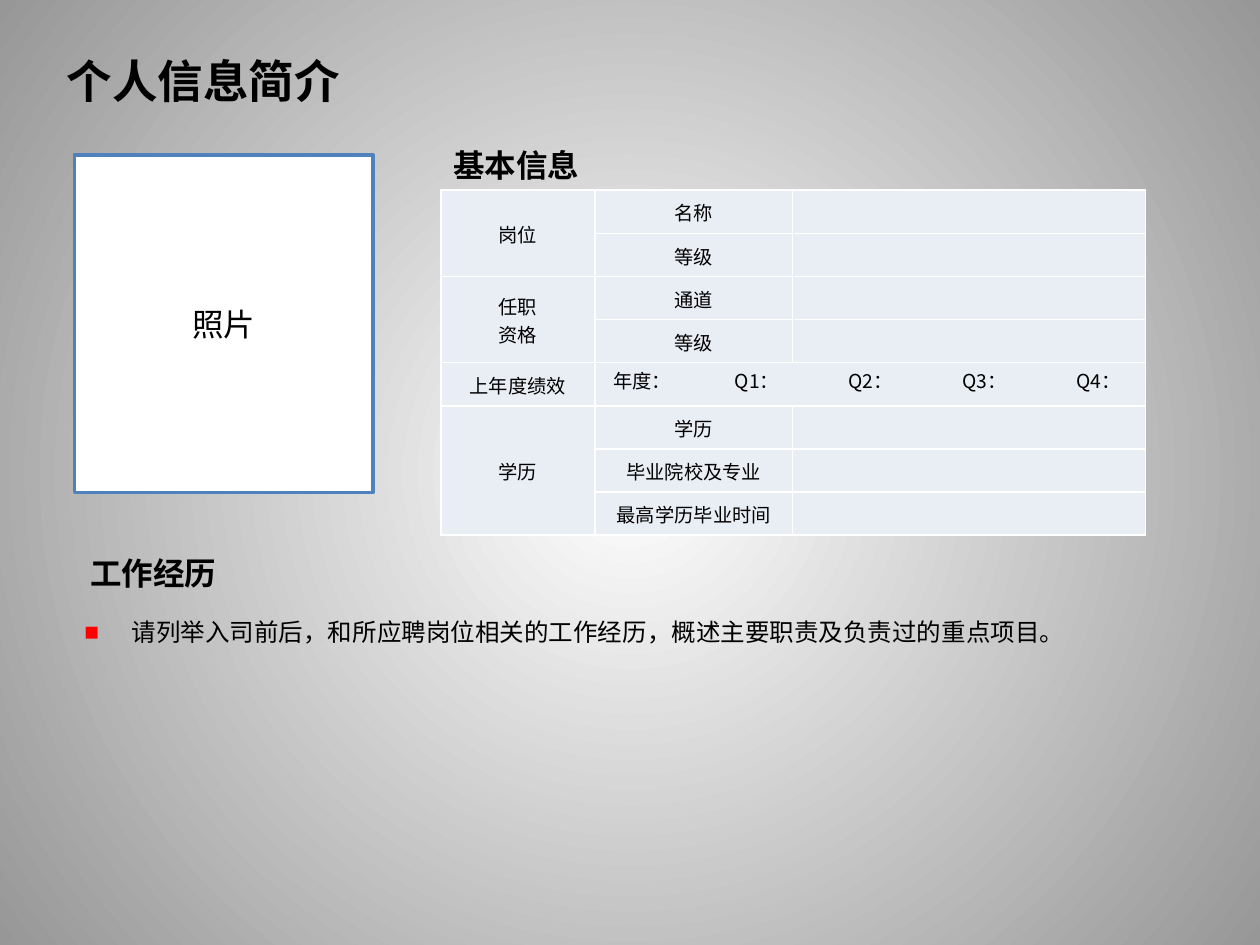
from lxml.etree import SubElement
from pptx import Presentation
from pptx.dml.color import RGBColor
from pptx.enum.lang import MSO_LANGUAGE_ID as Language
from pptx.enum.shapes import MSO_SHAPE as Shape
from pptx.enum.text import MSO_ANCHOR as Anchor, MSO_AUTO_SIZE as AutoSize, PP_ALIGN as Align
from pptx.oxml.ns import qn
from pptx.util import Pt

BLACK = RGBColor(0x00, 0x00, 0x00)
WHITE = RGBColor(0xFF, 0xFF, 0xFF)
GREY = RGBColor(0x97, 0x97, 0x97)
BLUE = RGBColor(0x4F, 0x81, 0xBD)
RED = RGBColor(0xFF, 0x00, 0x00)
PALE_BLUE = RGBColor(0xE9, 0xED, 0xF4)

COLUMN_WIDTHS = (88, 113, 201.5)
ROW_HEIGHT = 24.66
MERGES = ((0, 0, 1, 0), (2, 0, 3, 0), (4, 1, 4, 2), (5, 0, 7, 0))
PROFILE_ROWS = (
    ("岗位", "名称"),
    ("", "等级"),
    ("任职\n资格", "通道"),
    ("", "等级"),
    ("上年度绩效", ""),
    ("学历", "学历"),
    ("", "毕业院校及专业"),
    ("", "最高学历毕业时间"),
)
RATINGS = "年度：\tQ1：\tQ2：\tQ3：\tQ4："
RATING_INDENT, FIRST_TAB, TAB_STEP = 10.4, 80, 65


def add_xml(parent, tag, **attributes):
    """Append a child element and return it."""
    return SubElement(parent, qn(tag), {key: str(value) for key, value in attributes.items()})


def apply(target, values):
    """Set every attribute named in a dict."""
    for name, value in values.items():
        setattr(target, name, value)


class SlideBuilder:
    """Holds the style and the current slide."""

    font = {"name": "Arial", "language_id": Language.SIMPLIFIED_CHINESE}
    heading = {"size": Pt(18), "bold": True}
    cell_format = {
        "vertical_anchor": Anchor.MIDDLE,
        "margin_left": Pt(0.7),
        "margin_right": Pt(0.7),
        "margin_top": Pt(0.7),
        "margin_bottom": Pt(0),
    }

    def __init__(self, slide):
        """Keep the slide to draw on."""
        self.slide = slide

    def background(self, centre, edge):
        """Fill the background with a circular gradient."""
        fill = self.slide.background.fill
        fill.gradient()
        for stop, color in zip(fill.gradient_stops, (centre, edge)):
            stop.color.rgb = color
        gradient = self.slide.element.find(".//" + qn("a:gradFill"))
        gradient.remove(gradient.find(qn("a:lin")))
        circle = add_xml(gradient, "a:path", path="circle")
        add_xml(circle, "a:fillToRect", l=50000, t=50000, r=50000, b=50000)

    def set_text(self, frame, text, font, paragraph_format=None):
        """Put formatted text into a text frame."""
        frame.text = text
        for paragraph in frame.paragraphs:
            apply(paragraph, paragraph_format or {})
            for run in paragraph.runs:
                apply(run.font, {**self.font, **font})
                run.font.color.rgb = BLACK

    def placeholder(self, index, box, text, font, frame_format, paragraph_format):
        """Move and fill a template placeholder."""
        shape = self.slide.placeholders[index]
        apply(shape, dict(zip(("left", "top", "width", "height"), map(Pt, box))))
        apply(shape.text_frame, {"auto_size": AutoSize.NONE, "word_wrap": True, **frame_format})
        self.set_text(shape.text_frame, text, font, paragraph_format)
        return shape

    def bullet_list(self, box, text, size, indent):
        """Fill the body placeholder with red square bullets."""
        paragraph_format = {"alignment": Align.JUSTIFY, "line_spacing": 1.2}
        body = self.placeholder(1, box, text, {"size": Pt(size)}, {}, paragraph_format)
        for paragraph in body.text_frame.paragraphs:
            properties = paragraph._p.get_or_add_pPr()
            properties.set("marL", str(Pt(indent)))
            properties.set("indent", str(-Pt(indent)))
            add_xml(add_xml(properties, "a:buClr"), "a:srgbClr", val=RED)
            add_xml(properties, "a:buFont", typeface="Arial")
            add_xml(properties, "a:buChar", char="■")

    def section_heading(self, box, text, wrap=True, line_spacing=1.0):
        """Add a bold section heading."""
        frame = self.slide.shapes.add_textbox(*map(Pt, box)).text_frame
        apply(frame, {"word_wrap": wrap, "auto_size": AutoSize.SHAPE_TO_FIT_TEXT})
        self.set_text(frame, text, self.heading, {"line_spacing": line_spacing})

    def photo_frame(self, box, text):
        """Add the outlined box that holds the photo."""
        shape = self.slide.shapes.add_shape(Shape.RECTANGLE, *map(Pt, box))
        shape.shadow.inherit = False
        shape.fill.solid()
        shape.fill.fore_color.rgb = WHITE
        shape.line.color.rgb = BLUE
        shape.line.width = Pt(2)
        shape.text_frame.vertical_anchor = Anchor.MIDDLE
        self.set_text(shape.text_frame, text, {"size": Pt(18)}, {"alignment": Align.CENTER})

    def style_cell(self, cell):
        """Give a cell its borders, fill and margins."""
        properties = cell._tc.get_or_add_tcPr()
        for side in ("a:lnL", "a:lnR", "a:lnT", "a:lnB"):
            border = add_xml(properties, side, w=Pt(1))
            add_xml(add_xml(border, "a:solidFill"), "a:srgbClr", val=WHITE)
        cell.fill.solid()
        cell.fill.fore_color.rgb = PALE_BLUE
        apply(cell, self.cell_format)

    def profile_table(self, left, top, size):
        """Add the table of basic information."""
        row_count = len(PROFILE_ROWS)
        table = self.slide.shapes.add_table(
            row_count, len(COLUMN_WIDTHS), Pt(left), Pt(top),
            Pt(sum(COLUMN_WIDTHS)), Pt(ROW_HEIGHT * row_count)).table
        apply(table, {"first_row": False, "horz_banding": False})
        for column, width in zip(table.columns, COLUMN_WIDTHS):
            column.width = Pt(width)
        for row, texts in zip(table.rows, PROFILE_ROWS):
            row.height = Pt(ROW_HEIGHT)
            for cell, text in zip(row.cells, (*texts, "")):
                self.style_cell(cell)
                self.set_text(cell.text_frame, text, {"size": Pt(size)},
                              {"alignment": Align.CENTER})
                if not text:
                    add_xml(cell.text_frame.paragraphs[0]._p, "a:endParaRPr", sz=size * 100)
        for first_row, first_column, last_row, last_column in MERGES:
            table.cell(first_row, first_column).merge(table.cell(last_row, last_column))
        self.ratings(table.cell(4, 1), size)
        table.cell(4, 0).text_frame.paragraphs[0].runs[0].font.name = "Noto Sans CJK SC"

    def ratings(self, cell, size):
        """Set the yearly and quarterly ratings on tab stops."""
        cell.margin_left = Pt(RATING_INDENT)
        cell.margin_bottom = Pt(5.7)
        font = {"size": Pt(size), "name": "Noto Sans CJK SC"}
        self.set_text(cell.text_frame, RATINGS, font, {"alignment": Align.LEFT})
        stops = add_xml(cell.text_frame.paragraphs[0]._p.get_or_add_pPr(), "a:tabLst")
        for quarter in range(4):
            position = FIRST_TAB + quarter * TAB_STEP - RATING_INDENT
            add_xml(stops, "a:tab", pos=Pt(position), algn="l")


def main():
    """Build the personal profile slide."""
    presentation = Presentation()
    presentation.slide_width, presentation.slide_height = Pt(720), Pt(540)
    builder = SlideBuilder(presentation.slides.add_slide(presentation.slide_layouts[1]))
    builder.background(WHITE, GREY)
    builder.placeholder(0, (31, 26, 538.5, 39.5), "个人信息简介", {"size": Pt(26), "bold": True},
                        {"vertical_anchor": Anchor.MIDDLE}, {"alignment": Align.LEFT})
    builder.section_heading((44.6, 302.4, 312, 36), "工作经历", line_spacing=1.5)
    builder.photo_frame((42.5, 88.5, 170.6, 193), "照片")
    builder.profile_table(252, 108.7, 11)
    builder.section_heading((252, 80, 87, 29), "基本信息", wrap=False)
    builder.bullet_list((41, 345.6, 614, 26),
                        "请列举入司前后，和所应聘岗位相关的工作经历，概述主要职责及负责过的重点项目。", 14, 27)
    presentation.save("out.pptx")


main()
